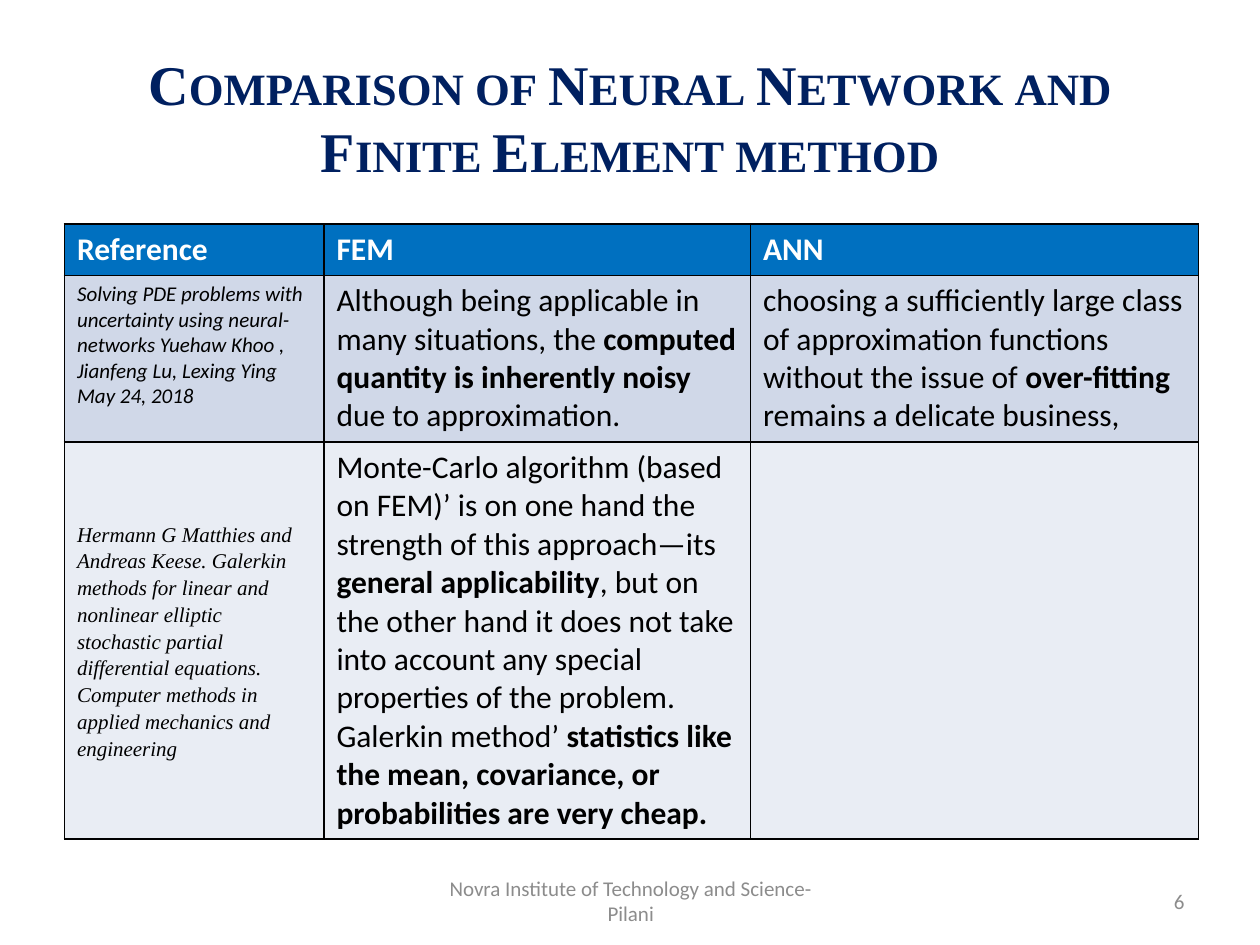
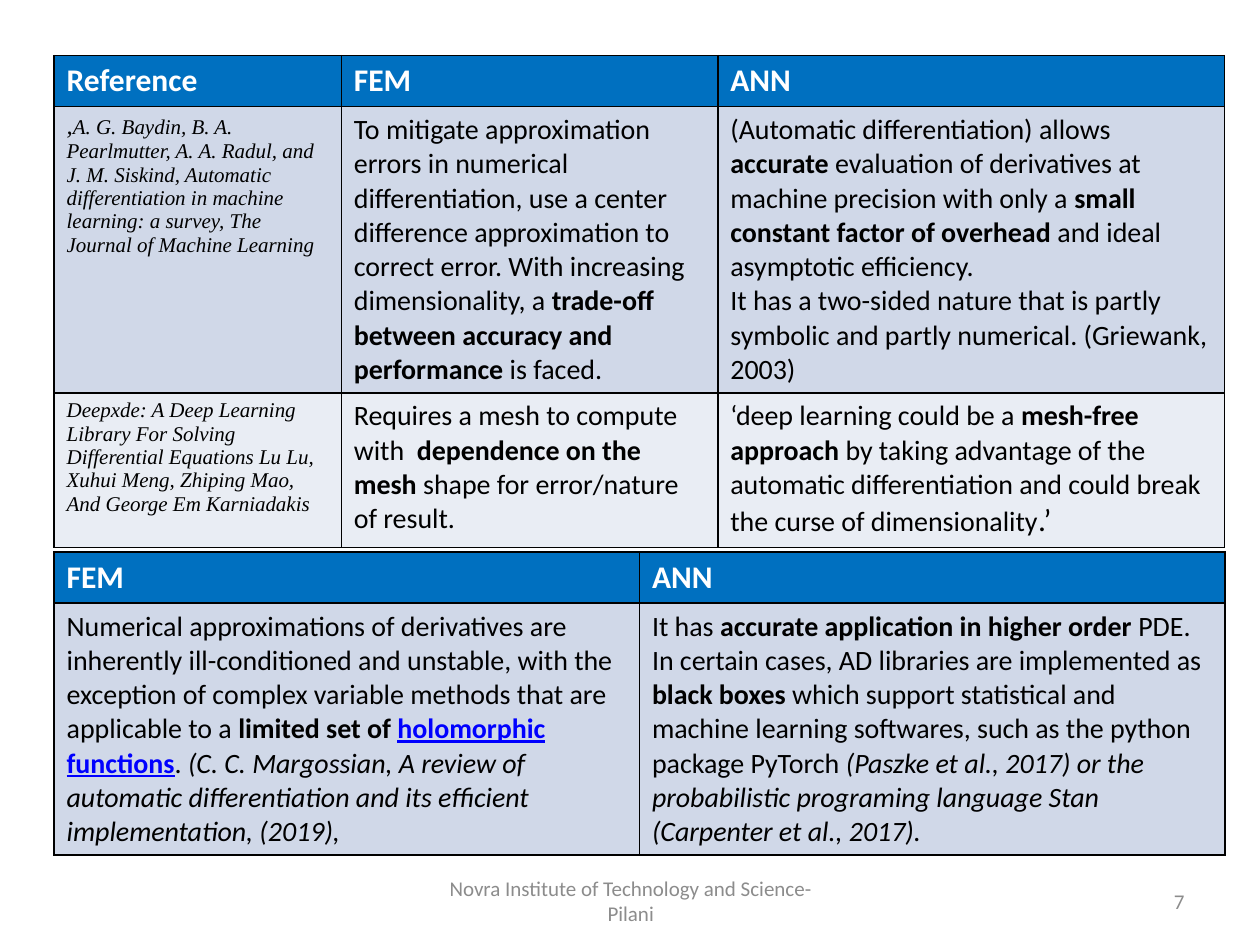
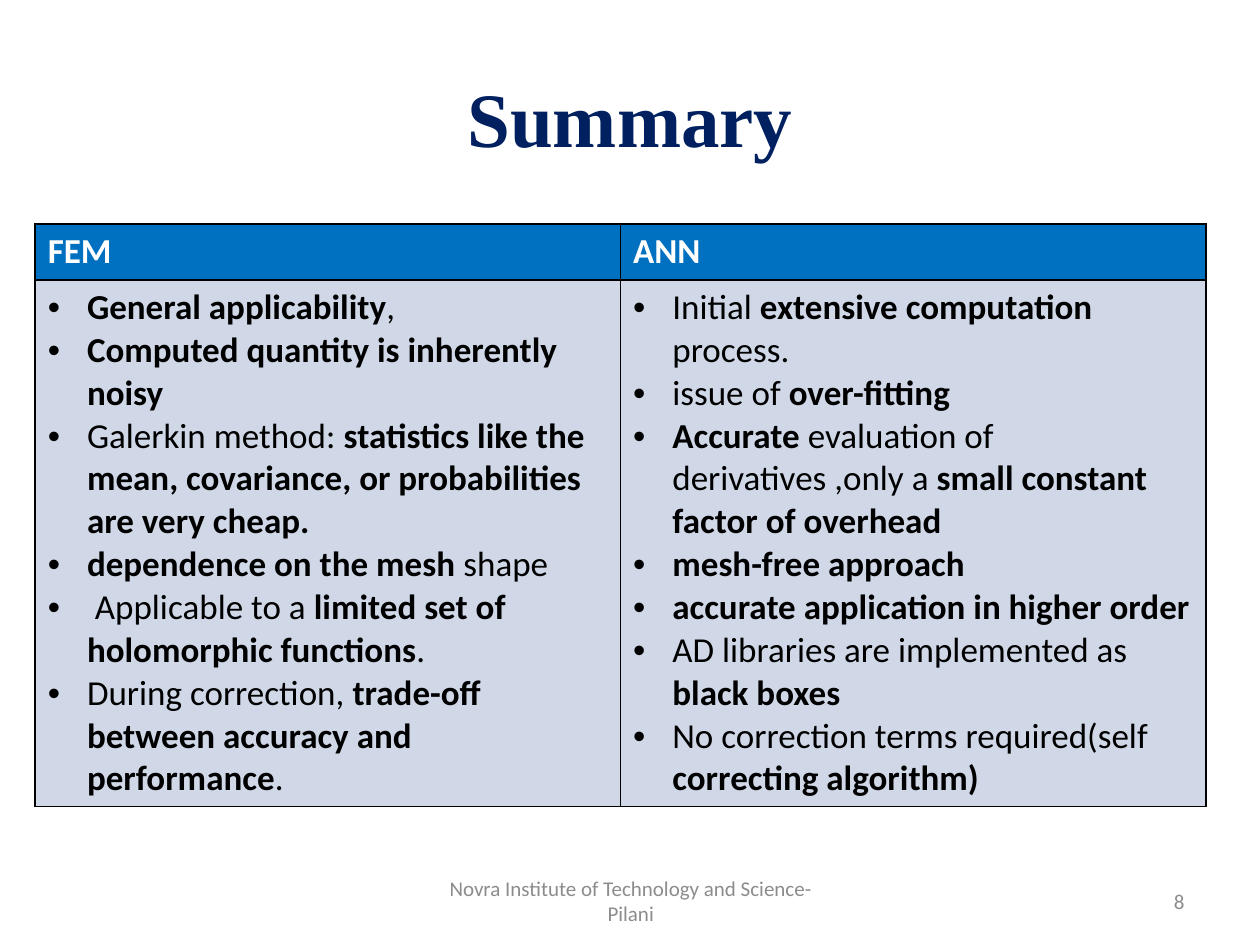
from lxml import etree
from pptx import Presentation
from pptx import util as u
from pptx.dml import color
from pptx.enum import text
from pptx.oxml import ns

NAVY, BLUE, PALE, LIGHT = "002060", "0070C0", "D0D8E8", "E9EDF4"
BLACK, WHITE, GREY, LINK = "000000", "FFFFFF", "8C8C8C", "0000FF"
SANS, SERIF = "Calibri", "Times New Roman"
MIDDLE = text.MSO_ANCHOR.MIDDLE
ALIGN = text.PP_ALIGN
INSTITUTE = "Novra Institute of Technology and Science-Pilani"
TITLE_ONLY, BLANK = 5, 6


def rgb(value):
    return color.RGBColor.from_string(value)


def apply(target, values):
    for name, value in values.items():
        setattr(target, name, value)


def child(parent, tag, **attributes):
    return etree.SubElement(parent, ns.qn(tag), attributes)


def cell(*paragraphs, spacing=None, box=None, **style):
    return paragraphs, spacing or {}, box or {}, style


def reference(*paragraphs, **options):
    return cell(*paragraphs, **{"size": 12, "italic": True, "name": SERIF, **options})


def bullets(*paragraphs):
    return cell(*paragraphs, bullet=True)


class Deck:
    indent = u.Cm(0.79)
    border = u.Pt(1)

    def __init__(self, first_number):
        self.prs = Presentation()
        apply(self.prs, {"slide_width": u.Cm(25.4), "slide_height": u.Cm(19.05)})
        self.number = first_number
        self.slide = None

    def add_slide(self, title=None, size=44, small_caps=False):
        layout = BLANK if title is None else TITLE_ONLY
        self.slide = self.prs.slides.add_slide(self.prs.slide_layouts[layout])
        if title is not None:
            self.title(title, size, small_caps)
        self.footer(8.69, 8.05, INSTITUTE, ALIGN.CENTER)
        self.footer(18.21, 5.92, str(self.number), ALIGN.RIGHT)
        self.number += 1

    def title(self, words, size, small_caps):
        heading = self.slide.shapes.title
        apply(heading, {"left": u.Cm(1.27), "top": u.Cm(0.76),
                        "width": u.Cm(22.86), "height": u.Cm(3.18)})
        apply(heading.text_frame, {"vertical_anchor": MIDDLE, "word_wrap": True})
        line = heading.text_frame.paragraphs[0]
        line.alignment = ALIGN.CENTER
        run = self.run(line, words, name=SERIF, size=size, colour=NAVY, bold=True)
        if small_caps:
            run.font._element.set("cap", "small")

    def footer(self, left, width, words, alignment):
        note = self.slide.shapes.add_textbox(u.Cm(left), u.Cm(17.65), u.Cm(width), u.Cm(1.02))
        apply(note.text_frame, {"word_wrap": True, "vertical_anchor": MIDDLE})
        line = note.text_frame.paragraphs[0]
        line.alignment = alignment
        self.run(line, words, size=12, colour=GREY)

    def run(self, paragraph, words, size=18, colour=BLACK, **style):
        run = paragraph.add_run()
        run.text = words
        apply(run.font, {"name": SANS, "bold": False, "size": u.Pt(size), **style})
        run.font.color.rgb = rgb(colour)
        return run

    def marked_text(self, paragraph, parts, style):
        for part in [parts] if isinstance(parts, str) else parts:
            words, extra = (part, {}) if isinstance(part, str) else part
            for index, piece in enumerate(words.split("*")):
                if piece:
                    self.run(paragraph, piece, **{**style, "bold": index % 2 == 1, **extra})

    def bullet(self, paragraph):
        properties = paragraph._p.get_or_add_pPr()
        properties.set("marL", str(self.indent))
        properties.set("indent", str(-self.indent))
        child(properties, "a:buFont", typeface="Arial")
        child(properties, "a:buChar", char="•")

    def frame_cell(self, target, fill):
        properties = target._tc.get_or_add_tcPr()
        for side in "LRTB":
            edge = child(properties, f"a:ln{side}", w=str(self.border))
            child(child(edge, "a:solidFill"), "a:srgbClr", val=BLACK)
        target.fill.solid()
        target.fill.fore_color.rgb = rgb(fill)

    def fill_cell(self, target, content, defaults):
        paragraphs, spacing, box, own_style = content
        style = {**defaults, **own_style}
        bulleted = style.pop("bullet", False)
        apply(target, box)
        for index, parts in enumerate(paragraphs):
            frame = target.text_frame
            paragraph = frame.add_paragraph() if index else frame.paragraphs[0]
            apply(paragraph, spacing)
            if bulleted:
                self.bullet(paragraph)
            self.marked_text(paragraph, parts, style)

    def table(self, left, top, widths, heights, headings, rows, size, heading_size=18):
        grid = self.slide.shapes.add_table(
            len(heights), len(widths), u.Cm(left), u.Cm(top),
            u.Cm(sum(widths)), u.Cm(sum(heights))).table
        apply(grid, {"first_row": False, "horz_banding": False})
        for column, width in zip(grid.columns, widths):
            column.width = u.Cm(width)
        for row, height in zip(grid.rows, heights):
            row.height = u.Cm(height)
        header = [cell(f"*{words}*", size=heading_size, colour=WHITE) for words in headings]
        for r, (contents, fill) in enumerate(zip([header, *rows], (BLUE, PALE, LIGHT))):
            for c, content in enumerate(contents):
                self.frame_cell(grid.cell(r, c), fill)
                self.fill_cell(grid.cell(r, c), content, {"size": size})


def comparison(deck):
    deck.add_slide("Comparison of Neural Network and Finite Element method", 32, True)
    inset = u.Cm(0.25)
    deck.table(1.3, 4.52, (5.23, 8.6, 9.03), (1.03, 3.36, 8), ("Reference", "FEM", "ANN"), [
        [reference("Solving PDE problems with uncertainty using neural-networks Yuehaw Khoo , "
                   "Jianfeng Lu, Lexing Ying May 24, 2018", name=SANS),
         cell("Although being applicable in many situations, the *computed quantity is "
              "inherently noisy* due to approximation."),
         cell("choosing a sufficiently large class of approximation functions without the "
              "issue of *over-fitting* remains a delicate business,")],
        [reference("Hermann G Matthies and Andreas Keese. Galerkin methods for linear and "
                   "nonlinear elliptic stochastic partial differential equations. Computer "
                   "methods in applied mechanics and engineering",
                   spacing={"line_spacing": 1.15, "space_after": u.Pt(10)},
                   box={"vertical_anchor": MIDDLE, "margin_top": inset, "margin_bottom": inset}),
         cell("Monte-Carlo algorithm (based on FEM)’ is on one hand the strength of this "
              "approach—its* general applicability*, but on the other hand it does not take "
              "into account any special properties of the problem.",
              "Galerkin method’ *statistics like the mean, covariance, or probabilities are "
              "very cheap.*"),
         cell()],
    ], 18)


def differentiation(deck):
    deck.add_slide()
    deck.table(1.09, 1.12, (5.79, 7.59, 10.21), (1.03, 5.77, 3.12), ("Reference", "FEM", "ANN"), [
        [reference([(",", {"size": 14}),
                    "A. G. Baydin, B. A. Pearlmutter, A. A. Radul, and J. M. Siskind, Automatic "
                    "differentiation in machine learning: a survey, The Journal of Machine "
                    "Learning"]),
         cell("To mitigate approximation errors in numerical differentiation, use a center "
              "difference approximation to correct error. With increasing dimensionality, a "
              "*trade-off between accuracy and performance* is faced."),
         cell("(Automatic differentiation) allows *accurate *evaluation of derivatives at "
              "machine precision with only a *small constant factor of overhead *and ideal "
              "asymptotic efficiency.",
              "It has a two-sided nature that is partly symbolic and partly numerical. "
              "(Griewank, 2003)")],
        [reference("Deepxde: A Deep Learning Library For Solving Differential Equations Lu Lu, "
                   "Xuhui Meng, Zhiping Mao, And George Em Karniadakis"),
         cell("Requires a mesh to compute with * dependence on the mesh *shape for "
              "error/nature of result."),
         cell(["‘deep learning could be a *mesh-free approach *by taking advantage of the "
               "automatic differentiation and could break the curse of dimensionality",
               (".’", {"size": 18})])],
    ], 16)
    italic = {"italic": True}
    deck.table(1.09, 11.13, (11.8, 11.8), (1.03, 5.08), ("FEM", "ANN"), [
        [cell(["Numerical approximations of derivatives are inherently ill-conditioned and "
               "unstable, with the exception of complex variable methods that are applicable "
               "to a *limited set of *",
               ("holomorphic functions", {"bold": True, "underline": True, "colour": LINK}),
               ". ",
               ("(C. C. Margossian, A review of automatic differentiation and its efficient "
                "implementation, (2019),", italic)]),
         cell("It has *accurate application in higher order *PDE.",
              ["In certain cases, AD libraries are implemented as *black boxes *which support "
               "statistical and machine learning softwares, such as the python package PyTorch ",
               ("(Paszke et al., 2017) or the probabilistic programing language Stan "
                "(Carpenter et al., 2017).", italic)])],
    ], 16)


def summary(deck):
    deck.add_slide("Summary")
    deck.table(0.71, 4.52, (11.8, 11.8), (1.12, 10.62), ("FEM", "ANN"), [
        [bullets("*General applicability*,",
                 "*Computed quantity is inherently noisy*",
                 "Galerkin method: *statistics like the mean, covariance, or probabilities "
                 "are very cheap.*",
                 "*dependence on the mesh *shape",
                 " Applicable to a *limited set of holomorphic functions*.",
                 "During correction,* trade-off between accuracy and performance*."),
         bullets("Initial *extensive computation *process.",
                 "issue of *over-fitting*",
                 "*Accurate *evaluation of derivatives ,only a *small constant factor of "
                 "overhead*",
                 "*mesh-free approach*",
                 "*accurate application in higher order*",
                 "AD libraries are implemented as *black boxes*",
                 "No correction terms required(self *correcting algorithm)*")],
    ], 20, heading_size=20)


def main():
    deck = Deck(first_number=6)
    for build in (comparison, differentiation, summary):
        build(deck)
    deck.prs.save("out.pptx")


if __name__ == "__main__":
    main()
